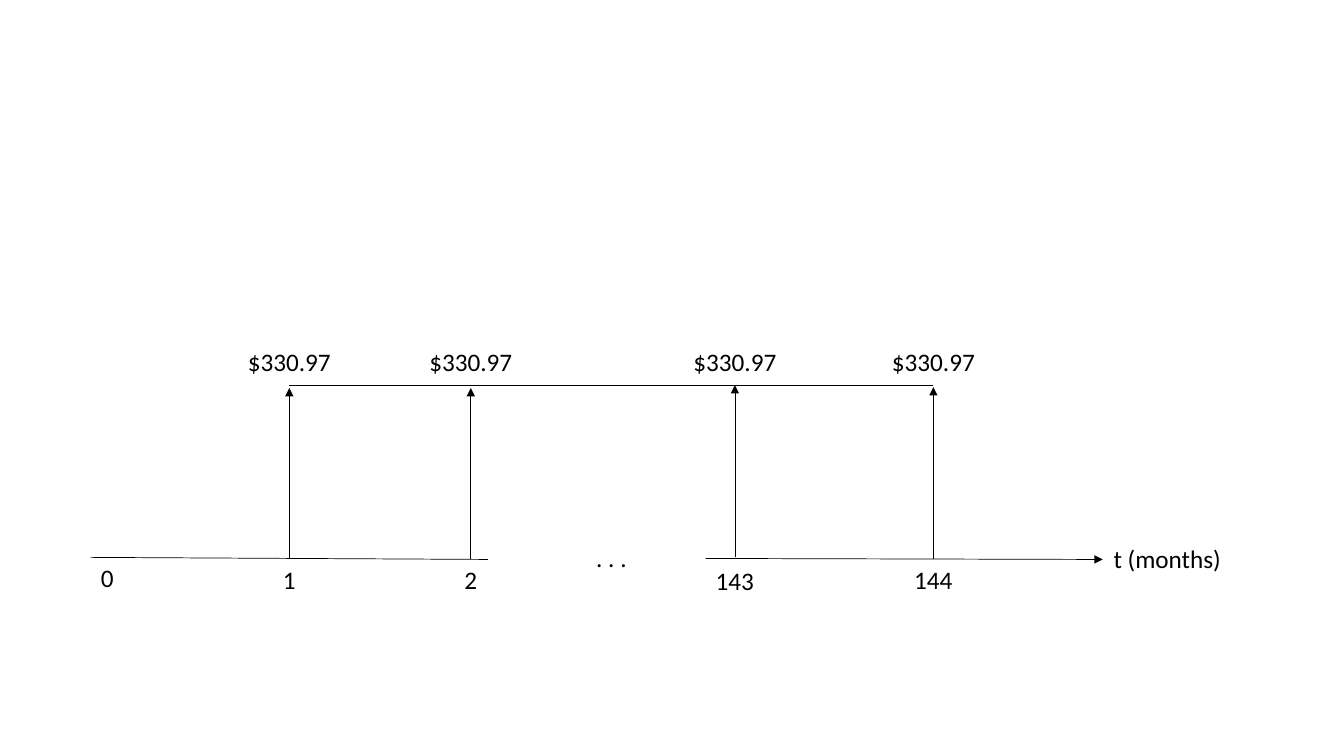
"""Draw a cash-flow timeline of equal monthly payments."""
import dataclasses

import pptx
import pptx.dml.color
import pptx.enum.shapes
import pptx.enum.text
import pptx.oxml
import pptx.oxml.ns
import pptx.util


@dataclasses.dataclass(frozen=True)
class Theme:
    """Hold the colours, font and sizes of the slide."""
    ink: pptx.dml.color.RGBColor = pptx.dml.color.RGBColor(0, 0, 0)
    font: str = "Calibri"
    text_size: pptx.util.Pt = pptx.util.Pt(18)
    line_width: pptx.util.Pt = pptx.util.Pt(0.5)


THEME = Theme()
SLIDE_WIDTH = pptx.util.Inches(13.33)
SLIDE_HEIGHT = pptx.util.Inches(7.5)
LABEL_HEIGHT = 5.33
AMOUNT = "$330.97"
AMOUNT_TOP = 45.2
AMOUNT_WIDTH = 7.73
BRACKET_Y = 50.93
AXIS_Y = 74
AXIS_START_Y = 73.73
AXIS_END_X = 82.05
PAYMENTS = [
    ("1", 21.53, 2.48, AXIS_Y, AXIS_Y, 51.33),
    ("2", 35.03, 2.48, AXIS_Y, AXIS_Y, 51.33),
    ("143", 54.68, 4.43, 74.13, AXIS_START_Y, BRACKET_Y),
    ("144", 69.45, 4.43, AXIS_Y, AXIS_Y, 51.2),
]


def across(percent):
    """Turn a percentage of the slide width into a length."""
    return round(SLIDE_WIDTH * percent / 100)


def down(percent):
    """Turn a percentage of the slide height into a length."""
    return round(SLIDE_HEIGHT * percent / 100)


def add_line(page, start, end, arrow=False):
    """Add a thin line, with an arrowhead at its end if asked."""
    line = page.shapes.add_connector(
        pptx.enum.shapes.MSO_CONNECTOR.STRAIGHT,
        across(start[0]), down(start[1]), across(end[0]), down(end[1]))
    line.line.color.rgb = THEME.ink
    line.line.width = THEME.line_width
    if arrow:
        head = pptx.oxml.parse_xml(
            f'<a:tailEnd {pptx.oxml.ns.nsdecls("a")} type="triangle"/>')
        line.line._get_or_add_ln().append(head)
    effects = pptx.oxml.parse_xml(
        f'<a:effectLst {pptx.oxml.ns.nsdecls("a")}/>')
    line._element.spPr.append(effects)


def add_label(page, words, center, top, width):
    """Add a one-line label centred on a horizontal position."""
    box = page.shapes.add_textbox(
        across(center - width / 2), down(top),
        across(width), down(LABEL_HEIGHT))
    box.text_frame.word_wrap = False
    box.text_frame.auto_size = pptx.enum.text.MSO_AUTO_SIZE.SHAPE_TO_FIT_TEXT
    para = box.text_frame.paragraphs[0]
    para.text = words
    para.alignment = pptx.enum.text.PP_ALIGN.CENTER
    para.font.name = THEME.font
    para.font.size = THEME.text_size
    para.font.color.rgb = THEME.ink


def add_axis(page):
    """Add the broken time axis with its labels."""
    add_line(page, (6.75, AXIS_START_Y), (36.3, AXIS_Y))
    add_line(page, (52.5, 73.87), (AXIS_END_X, AXIS_Y), arrow=True)
    add_label(page, "0", 7.99, AXIS_START_Y, 2.48)
    add_label(page, ". . .", 45.49, 71.07, 3.83)
    add_label(page, "t (months)", AXIS_END_X + 4.8, 71.2, 9.6)


def add_payment(page, month, center, width, label_top, foot, tip):
    """Add one payment arrow with its month and amount."""
    add_line(page, (center, foot), (center, tip), arrow=True)
    add_label(page, month, center, label_top, width)
    add_label(page, AMOUNT, center, AMOUNT_TOP, AMOUNT_WIDTH)


def main():
    """Build and save the slide."""
    deck = pptx.Presentation()
    deck.slide_width, deck.slide_height = SLIDE_WIDTH, SLIDE_HEIGHT
    page = deck.slides.add_slide(deck.slide_layouts[6])
    add_axis(page)
    for payment in PAYMENTS:
        add_payment(page, *payment)
    add_line(page, (PAYMENTS[0][1], BRACKET_Y), (PAYMENTS[-1][1], BRACKET_Y))
    deck.save("out.pptx")


main()
